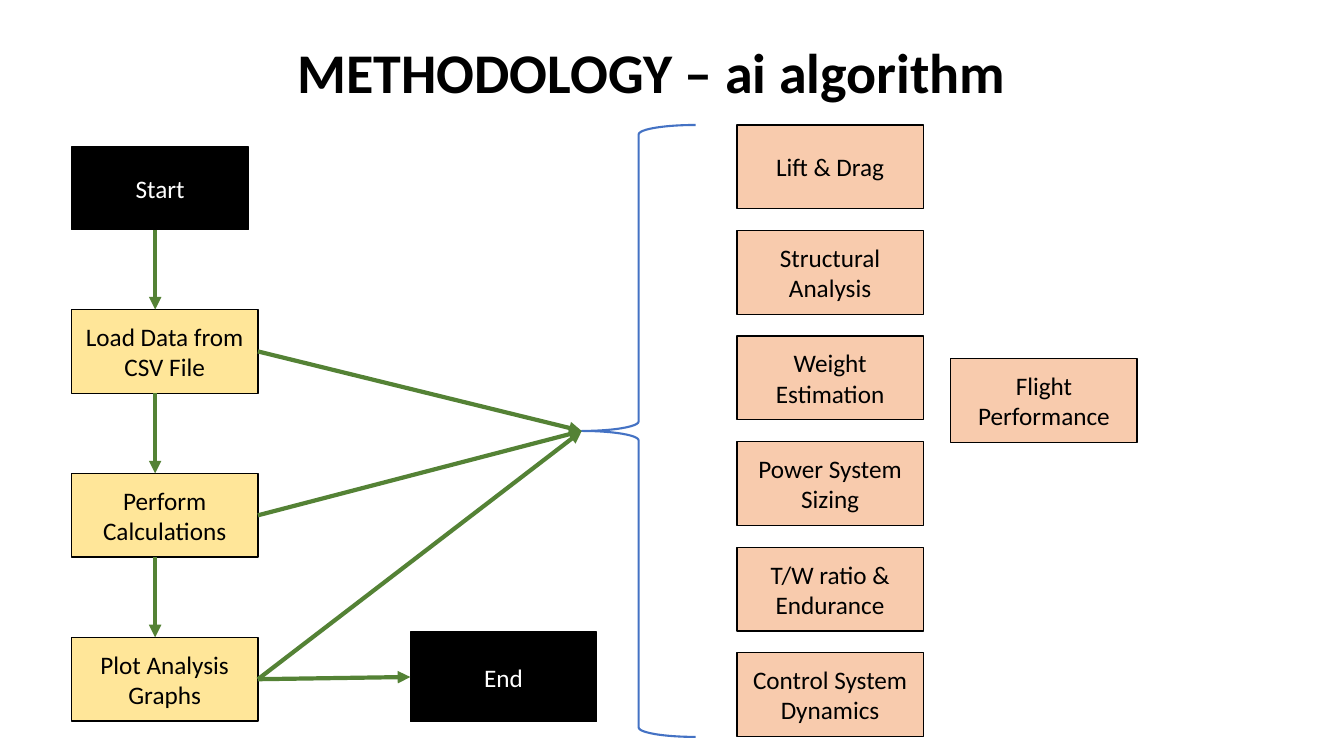
import pptx
import pptx.dml.color
import pptx.enum.shapes
import pptx.enum.text
import pptx.oxml.ns
import pptx.util
import lxml.etree

Cm, Pt = pptx.util.Cm, pptx.util.Pt
SHAPES = pptx.enum.shapes.MSO_SHAPE
FONT = "Calibri"
BLACK, WHITE = "000000", "FFFFFF"
YELLOW, PEACH = "FFE699", "F8CBAD"
GREEN, BLUE = "548235", "4472C4"
BOX_WIDTH, BOX_HEIGHT = 4.7, 2.11


def colour(hex_code):
    return pptx.dml.color.RGBColor.from_string(hex_code)


def format_text(frame, size, text_colour, bold=False):
    frame.word_wrap = True
    frame.vertical_anchor = pptx.enum.text.MSO_ANCHOR.MIDDLE
    paragraph = frame.paragraphs[0]
    paragraph.alignment = pptx.enum.text.PP_ALIGN.CENTER
    for run in paragraph.runs:
        run.font.name = FONT
        run.font.size = Pt(size)
        run.font.bold = bold
        run.font.color.rgb = colour(text_colour)


def add_title(slide, left, top, width, height):
    title = slide.shapes.title
    title.left, title.top = Cm(left), Cm(top)
    title.width, title.height = Cm(width), Cm(height)
    title.text_frame.text = "METHODOLOGY – ai algorithm"
    title.text_frame.paragraphs[0].line_spacing = 0.9
    format_text(title.text_frame, 40, BLACK, bold=True)


def add_step(slide, label, left, top, fill, width=BOX_WIDTH, height=BOX_HEIGHT):
    step = slide.shapes.add_shape(
        SHAPES.RECTANGLE, Cm(left), Cm(top), Cm(width), Cm(height))
    step.shadow.inherit = False
    step.fill.solid()
    step.fill.fore_color.rgb = colour(fill)
    step.line.color.rgb = colour(BLACK)
    step.line.width = Pt(1)
    step.text_frame.text = label
    format_text(step.text_frame, 18, WHITE if fill == BLACK else BLACK)
    return step


def add_arrow(slide, x1=0, y1=0, x2=0, y2=0):
    arrow = slide.shapes.add_connector(
        pptx.enum.shapes.MSO_CONNECTOR.STRAIGHT, x1, y1, x2, y2)
    arrow.line.color.rgb = colour(GREEN)
    arrow.line.width = Pt(3)
    qn = pptx.oxml.ns.qn
    lxml.etree.SubElement(arrow.line._get_or_add_ln(), qn("a:tailEnd"), type="triangle")
    lxml.etree.SubElement(arrow._element.spPr, qn("a:effectLst"))
    return arrow


def join(slide, source, target):
    """Draw an arrow from the right side of source to the left of target."""
    arrow = add_arrow(slide)
    arrow.begin_connect(source, 3)
    arrow.end_connect(target, 1)


def add_main_flow(slide, left, top):
    """Place Start, the three steps and End; return the three steps."""
    start = add_step(slide, "Start", left, top, BLACK, 4.47, 2.08)
    labels = ["Load Data from CSV File", "Perform Calculations", "Plot Analysis Graphs"]
    steps = [add_step(slide, label, left, top + 4.09 + 4.13 * row, YELLOW)
             for row, label in enumerate(labels)]
    end = add_step(slide, "End", left + 8.54, top + 12.22, BLACK, height=2.26)
    arrow_x = Cm(left + 2.11)
    for upper, lower in zip([start] + steps, steps):
        add_arrow(slide, arrow_x, upper.top + upper.height, arrow_x, lower.top)
    join(slide, steps[-1], end)
    return steps


def add_analyses(slide, left, top):
    """Place the brace and the analysis boxes; return the brace."""
    labels = ["Lift & Drag", "Structural Analysis", "Weight Estimation",
              "Power System Sizing", "T/W ratio & Endurance", "Control System Dynamics"]
    for row, label in enumerate(labels):
        add_step(slide, label, left + 3.91, top + 2.66 * row, PEACH)
    add_step(slide, "Flight Performance", left + 9.3, top + 5.89, PEACH)
    brace = slide.shapes.add_shape(
        SHAPES.LEFT_BRACE, Cm(left), Cm(top), Cm(2.87), Cm(15.42))
    brace.shadow.inherit = False
    brace.fill.background()
    brace.line.color.rgb = colour(BLUE)
    brace.line.width = Pt(1.5)
    return brace


def main():
    presentation = pptx.Presentation()
    presentation.slide_width, presentation.slide_height = Cm(33.87), Cm(19.05)
    slide = presentation.slides.add_slide(presentation.slide_layouts[5])
    add_title(slide, 0, 0.05, 32.84, 3.68)
    steps = add_main_flow(slide, 1.8, 3.71)
    brace = add_analyses(slide, 14.66, 3.15)
    for step in steps:
        join(slide, step, brace)
    presentation.save("out.pptx")


if __name__ == "__main__":
    main()
